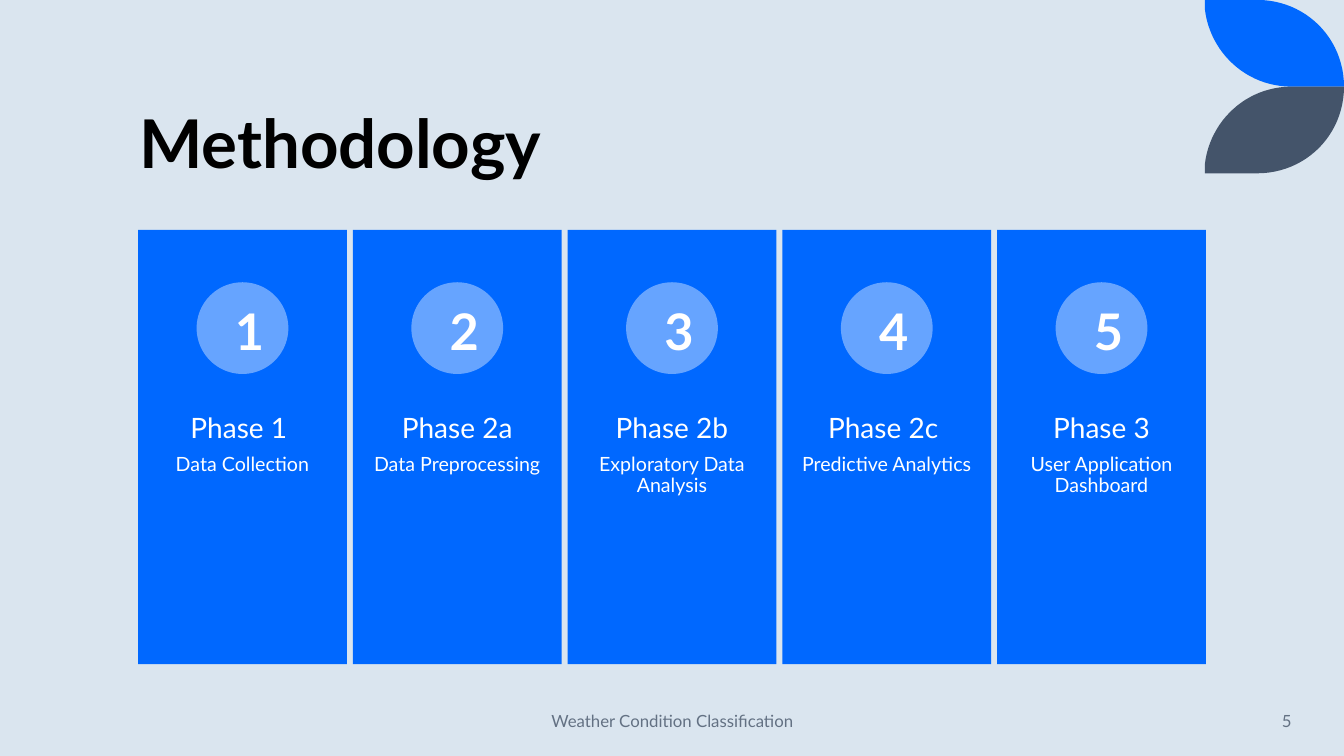
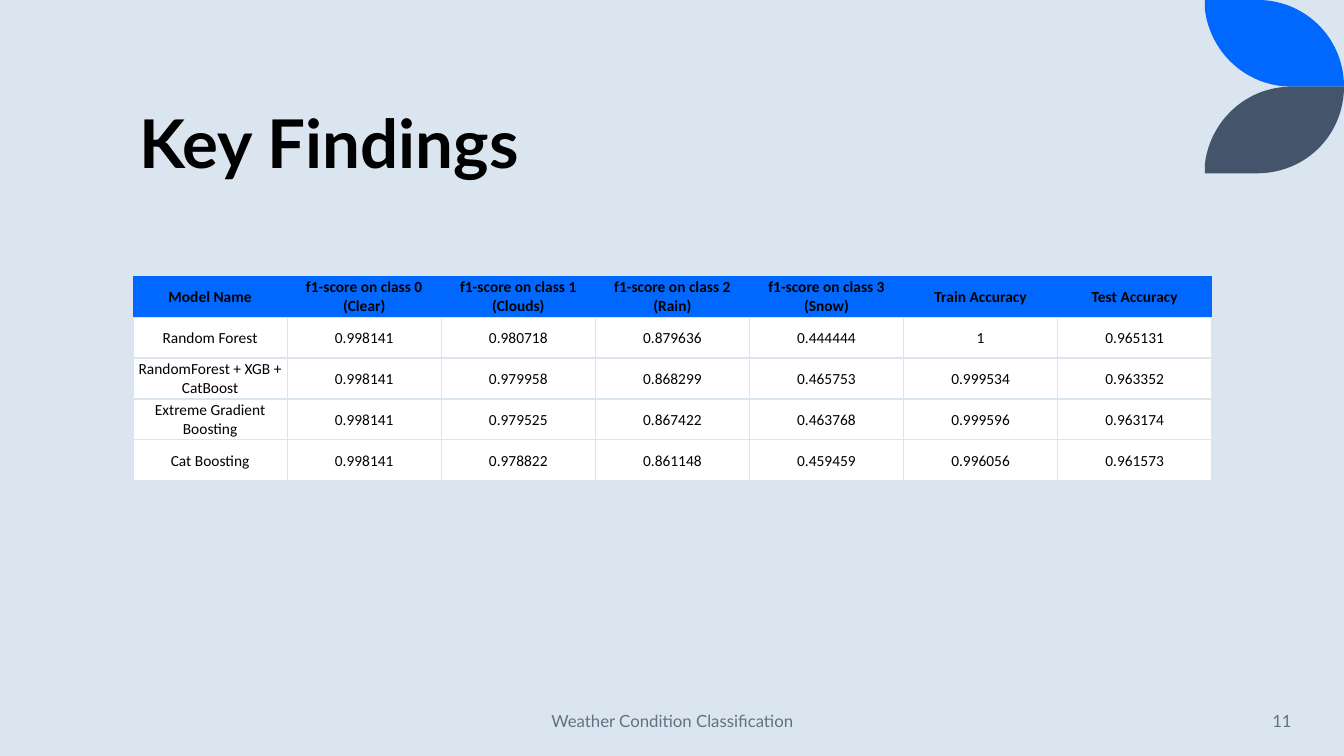
from pptx import Presentation
from pptx.util import Inches, Pt
from pptx.dml.color import RGBColor
from pptx.enum.shapes import MSO_SHAPE as Shape
from pptx.enum.text import PP_ALIGN as Align, MSO_ANCHOR as Anchor, MSO_AUTO_SIZE as Fit
from pptx.oxml import parse_xml
from pptx.oxml.ns import nsdecls

SKY = RGBColor(0xDA, 0xE5, 0xEF)
BLUE = RGBColor(0x00, 0x68, 0xFF)
PALE = RGBColor(0x66, 0xA4, 0xFF)
SLATE = RGBColor(0x44, 0x54, 0x6A)
GREY = RGBColor(0x63, 0x71, 0x83)
WHITE = RGBColor(0xFF, 0xFF, 0xFF)
BLACK = RGBColor(0x00, 0x00, 0x00)

deck = Presentation()
deck.slide_width, deck.slide_height = Inches(13.33), Inches(7.5)
deck.slide_master.background.fill.solid()
deck.slide_master.background.fill.fore_color.rgb = SKY


def write(para, text, size, color, align, bold=False, face="Lato"):
    para.text = text
    para.alignment = align
    font = para.font
    font.name, font.size, font.bold = face, Pt(size), bold
    font.color.rgb = color


def paint(shape, color):
    shape.shadow.inherit = False
    shape.fill.solid()
    shape.fill.fore_color.rgb = color
    shape.line.fill.background()


# Leaf outline: two straight edges, each followed by a cubic curve
LEAF = 0.86
CURVES = [[(12.47, 0), (12.95, 0), (13.33, 0.38), (13.33, LEAF)],
          [(12.81, LEAF), (12.36, LEAF), (12, 0.52), (11.95, 0.09)]]
STEPS = 24
rim = []
for curve in CURVES:
    for step in range(STEPS + 1):
        t = step / STEPS
        parts = ((1 - t) ** 3, 3 * t * (1 - t) ** 2, 3 * t ** 2 * (1 - t), t ** 3)
        rim.append([sum(w * pt[axis] for w, pt in zip(parts, curve)) for axis in (0, 1)])

# Shared frame: leaves, title, footer and page number
slides = []
for title, page in (("Methodology", "5"), ("Key Findings", "11")):
    slide = deck.slides.add_slide(deck.slide_layouts[5])
    slides.append(slide)
    for color, base, sign in ((BLUE, 0, 1), (SLATE, 2 * LEAF, -1)):
        pen = slide.shapes.build_freeform(Inches(11.95), Inches(base))
        pen.add_line_segments([(Inches(x), Inches(base + sign * y)) for x, y in rim])
        paint(pen.convert_to_shape(), color)

    head = slide.shapes.title
    head.left, head.top, head.width, head.height = map(Inches, (1.28, 0.42, 10.69, 1.45))
    frame = head.text_frame
    frame.auto_size, frame.vertical_anchor = Fit.NONE, Anchor.BOTTOM
    write(frame.paragraphs[0], title, 48, BLACK, Align.LEFT, True)
    frame.paragraphs[0].line_spacing = 0.9

    for text, left, width, align in (
            ("Weather Condition Classification", 4.42, 4.5, Align.CENTER),
            (page, 11.1, 1.81, Align.RIGHT)):
        foot = slide.shapes.add_textbox(*map(Inches, (left, 6.95, width, 0.4))).text_frame
        foot.word_wrap, foot.vertical_anchor = True, Anchor.MIDDLE
        write(foot.paragraphs[0], text, 12, GREY, align)

# Methodology: five phase panels
PHASES = [("Phase 1 ", "Data Collection"),
          ("Phase 2a", "Data Preprocessing"),
          ("Phase 2b", "Exploratory Data Analysis"),
          ("Phase 2c ", "Predictive Analytics"),
          ("Phase 3", "User Application Dashboard")]
PITCH, WIDE, DISC = 2.13, 2.07, 0.91
shapes = slides[0].shapes
for col, (phase, task) in enumerate(PHASES):
    left = 1.37 + col * PITCH
    panel = shapes.add_shape(Shape.RECTANGLE, *map(Inches, (left, 2.28, WIDE, 4.31)))
    paint(panel, BLUE)
    disc = shapes.add_shape(
        Shape.OVAL, *map(Inches, (left + (WIDE - DISC) / 2, 2.8, DISC, DISC)))
    paint(disc, PALE)

    label = shapes.add_textbox(*map(Inches, (left, 4, WIDE, 1.72))).text_frame
    label.word_wrap = True
    label.margin_left = label.margin_right = Inches(0.11)
    label.margin_top = label.margin_bottom = Inches(0.11)
    lines = (label.paragraphs[0], label.add_paragraph())
    for para, text, size, gap in zip(lines, (phase, task), (20, 14), (7, 2)):
        write(para, text, size, WHITE, Align.CENTER)
        para.line_spacing, para.space_after = 0.9, Pt(gap)

    digit = shapes.add_textbox(*map(Inches, (left + 0.86, 2.93, 0.38, 0.71))).text_frame
    digit.word_wrap = True
    write(digit.paragraphs[0], str(col + 1), 36, WHITE, Align.CENTER, True)

# Key Findings: score table
SCORES = [
    ("Model Name", "f1-score on class 0 (Clear)", "f1-score on class 1 (Clouds)",
     "f1-score on class 2 (Rain)", "f1-score on class 3 (Snow)",
     "Train Accuracy", "Test Accuracy"),
    ("Random Forest", "0.998141", "0.980718", "0.879636", "0.444444", "1", "0.965131"),
    ("RandomForest + XGB + CatBoost", "0.998141", "0.979958", "0.868299", "0.465753",
     "0.999534", "0.963352"),
    ("Extreme Gradient Boosting", "0.998141", "0.979525", "0.867422", "0.463768",
     "0.999596", "0.963174"),
    ("Cat Boosting", "0.998141", "0.978822", "0.861148", "0.459459",
     "0.996056", "0.961573")]
rows, cols = len(SCORES), len(SCORES[0])
table = slides[1].shapes.add_table(
    rows, cols, *map(Inches, (1.32, 2.74, 10.7, 2.03))).table
for row, record in enumerate(SCORES):
    top = row == 0
    for col, text in enumerate(record):
        cell = table.cell(row, col)
        cell.vertical_anchor = Anchor.MIDDLE
        cell.margin_left = cell.margin_right = cell.margin_top = Inches(0.01)
        cell.margin_bottom = 0
        write(cell.text_frame.paragraphs[0], text, 11, BLACK, Align.CENTER, top, "Calibri")
        # Header sides blend into its fill; every other edge is sky
        for side in "LRTB":
            edge = BLUE if top and side != "B" else SKY
            cell._tc.get_or_add_tcPr().append(parse_xml(
                f'<a:ln{side} {nsdecls("a")} w="12700"><a:solidFill>'
                f'<a:srgbClr val="{edge}"/></a:solidFill></a:ln{side}>'))
        cell.fill.solid()
        cell.fill.fore_color.rgb = BLUE if top else WHITE

deck.save("out.pptx")
